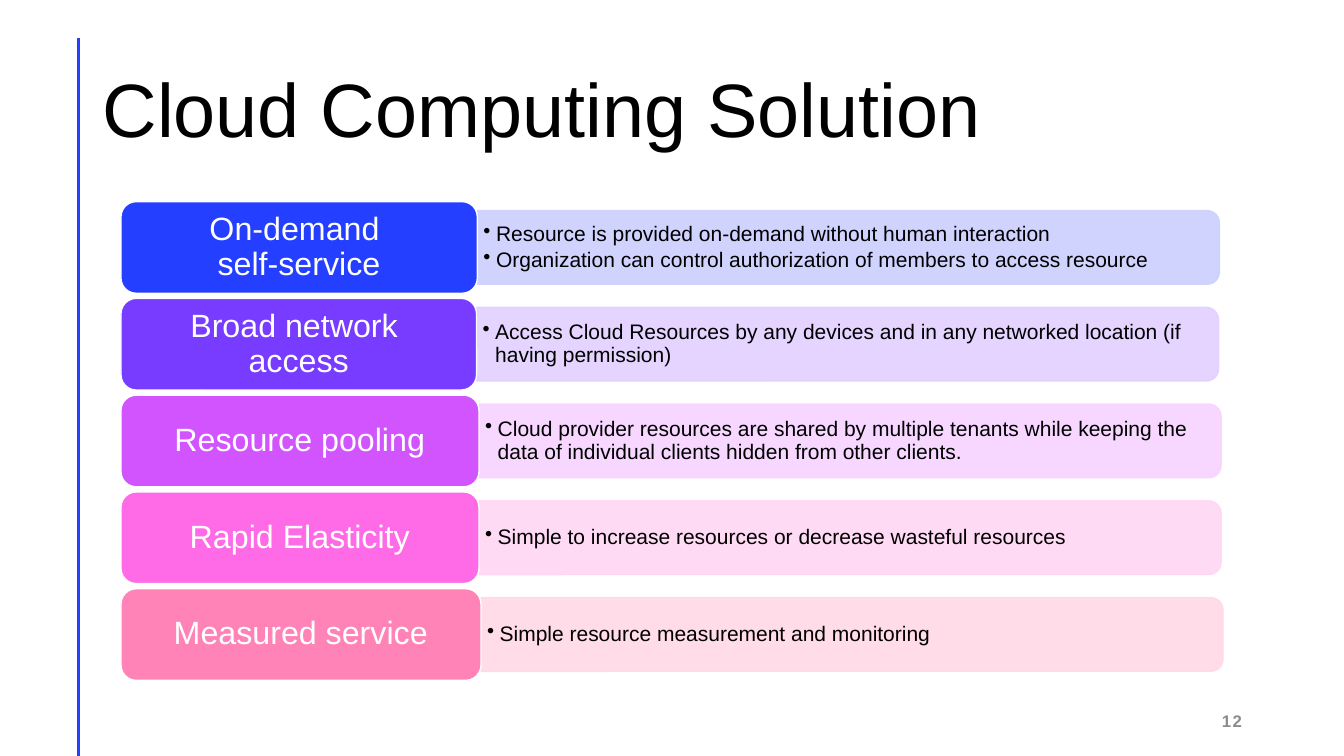
from lxml import etree
from pptx import Presentation
from pptx.dml.color import RGBColor
from pptx.enum.shapes import MSO_CONNECTOR, MSO_SHAPE
from pptx.enum.text import MSO_ANCHOR, PP_ALIGN
from pptx.oxml.ns import qn
from pptx.util import Pt

LEFT, CENTER, RIGHT = PP_ALIGN.LEFT, PP_ALIGN.CENTER, PP_ALIGN.RIGHT
MIDDLE = MSO_ANCHOR.MIDDLE
ROUND, ROUND_TOP = MSO_SHAPE.ROUNDED_RECTANGLE, MSO_SHAPE.ROUND_2_SAME_RECTANGLE
STRAIGHT = MSO_CONNECTOR.STRAIGHT

TITLE = "Cloud Computing Solution"
PAGE = "12"
# label lines, bullets, label colour, panel colour, label width
FEATURES = [
    (["On-demand ", "self-service"],
     ["Resource is provided on-demand without human interaction",
      "Organization can control authorization of members to access resource"],
     "243FFF", "CDCFFF", 254.6),
    (["Broad network ", "access"],
     ["Access Cloud Resources by any devices and in any networked location "
      "(if having permission)"],
     "773CFF", "E2D0FF", 254),
    (["Resource pooling"],
     ["Cloud provider resources are shared by multiple tenants while keeping "
      "the data of individual clients hidden from other clients."],
     "D154FF", "F7D3FF", 255.8),
    (["Rapid Elasticity"],
     ["Simple to increase resources or decrease wasteful resources"],
     "FF6BE7", "FFD6F5", 255.8),
    (["Measured service"],
     ["Simple resource measurement and monitoring"],
     "FF83B6", "FFD9E6", 257.2),
]

THEME = {
    "font": "Arial",
    "title": (54, "000000"), "label": (23, "FFFFFF"),
    "bullet": (15, "000000"), "page": (12, "8C8C8C"),
    "rule": "243FFF", "edge": "FFFFFF",
}
ROW_LEFT, ROW_TOP, ROW_PITCH = 86.4, 144, 69.12
LABEL_H, PANEL_W, PANEL_H = 65.5, 530, 52.6
BULLET_W, BULLET_H, HANG = 527, 47.5, 9


def set_colour(fill, colour, alpha=None):
    fill.solid()
    fill.fore_color.rgb = RGBColor.from_string(colour)
    if alpha is not None:
        for clr in fill._xPr.iter(qn("a:srgbClr")):
            if clr.find(qn("a:alpha")) is None:
                etree.SubElement(clr, qn("a:alpha"), val=str(alpha * 1000))


def add_box(slide, kind, x, y, w, h, colour, edge, alpha=None):
    sp = slide.shapes.add_shape(kind, Pt(x), Pt(y), Pt(w), Pt(h))
    sp.shadow.inherit = False
    set_colour(sp.fill, colour, alpha)
    sp.line.width = Pt(1)
    set_colour(sp.line.fill, edge, alpha)
    return sp


def add_text_area(slide, x, y, w, h):
    return slide.shapes.add_textbox(Pt(x), Pt(y), Pt(w), Pt(h)).text_frame


def prepare(tf, inset_x=7.2, inset_y=3.6):
    tf.word_wrap = True
    tf.vertical_anchor = MIDDLE
    tf.margin_left = tf.margin_right = Pt(inset_x)
    tf.margin_top = tf.margin_bottom = Pt(inset_y)


def add_run(p, text, style):
    size, colour = THEME[style]
    r = p.add_run()
    r.text = text
    r.font.name = THEME["font"]
    r.font.size = Pt(size)
    r.font.color.rgb = RGBColor.from_string(colour)
    return r


def write_line(tf, lines, style, align, spacing=0.9):
    """Fill the first paragraph, with a line break between the lines."""
    p = tf.paragraphs[0]
    p.alignment = align
    p.line_spacing = spacing
    for i, line in enumerate(lines):
        if i:
            p.add_line_break()
        r = add_run(p, line, style)
    return r


def write_bullets(tf, bullets):
    for i, bullet in enumerate(bullets):
        p = tf.paragraphs[0] if i == 0 else tf.add_paragraph()
        pPr = p._p.get_or_add_pPr()
        pPr.set("marL", str(Pt(HANG)))
        pPr.set("indent", str(-Pt(HANG)))
        etree.SubElement(pPr, qn("a:buChar"), char="•")
        p.alignment = LEFT
        p.line_spacing = 0.9
        p.space_after = Pt(2.5)
        add_run(p, bullet, "bullet")


def add_feature(slide, row, label, bullets, colour, tint, label_w):
    top = ROW_TOP + row * ROW_PITCH
    middle = top + LABEL_H / 2
    panel_x = ROW_LEFT + label_w
    # The panel is an upright shape turned a quarter about its centre
    panel = add_box(slide, ROUND_TOP, panel_x + (PANEL_W - PANEL_H) / 2,
                    middle - PANEL_W / 2, PANEL_H, PANEL_W, tint, tint, 90)
    panel.rotation = 90
    tf = add_text_area(slide, panel_x, middle - BULLET_H / 2, BULLET_W, BULLET_H)
    prepare(tf, 4.3, 2.2)
    write_bullets(tf, bullets)
    sp = add_box(slide, ROUND, ROW_LEFT, top, label_w, LABEL_H, colour, THEME["edge"])
    prepare(sp.text_frame)
    write_line(sp.text_frame, label, "label", CENTER)


def main():
    prs = Presentation()
    prs.slide_width, prs.slide_height = Pt(960), Pt(540)
    slide = prs.slides.add_slide(prs.slide_layouts[6])

    rule = slide.shapes.add_connector(STRAIGHT, Pt(56.2), Pt(27.5), Pt(56.2), Pt(540))
    rule.line.width = Pt(2)
    set_colour(rule.line.fill, THEME["rule"])
    etree.SubElement(rule._element.spPr, qn("a:effectLst"))

    tf = add_text_area(slide, 66.2, 28.8, 828, 104.4)
    prepare(tf)
    write_line(tf, [TITLE], "title", LEFT)

    for row, feature in enumerate(FEATURES):
        add_feature(slide, row, *feature)

    tf = add_text_area(slide, 678.2, 500.4, 216, 28.8)
    prepare(tf)
    number = write_line(tf, [PAGE], "page", RIGHT, 1.0)
    number.font.bold = True
    number._r.get_or_add_rPr().set("spc", "100")

    prs.save("out.pptx")


if __name__ == "__main__":
    main()
